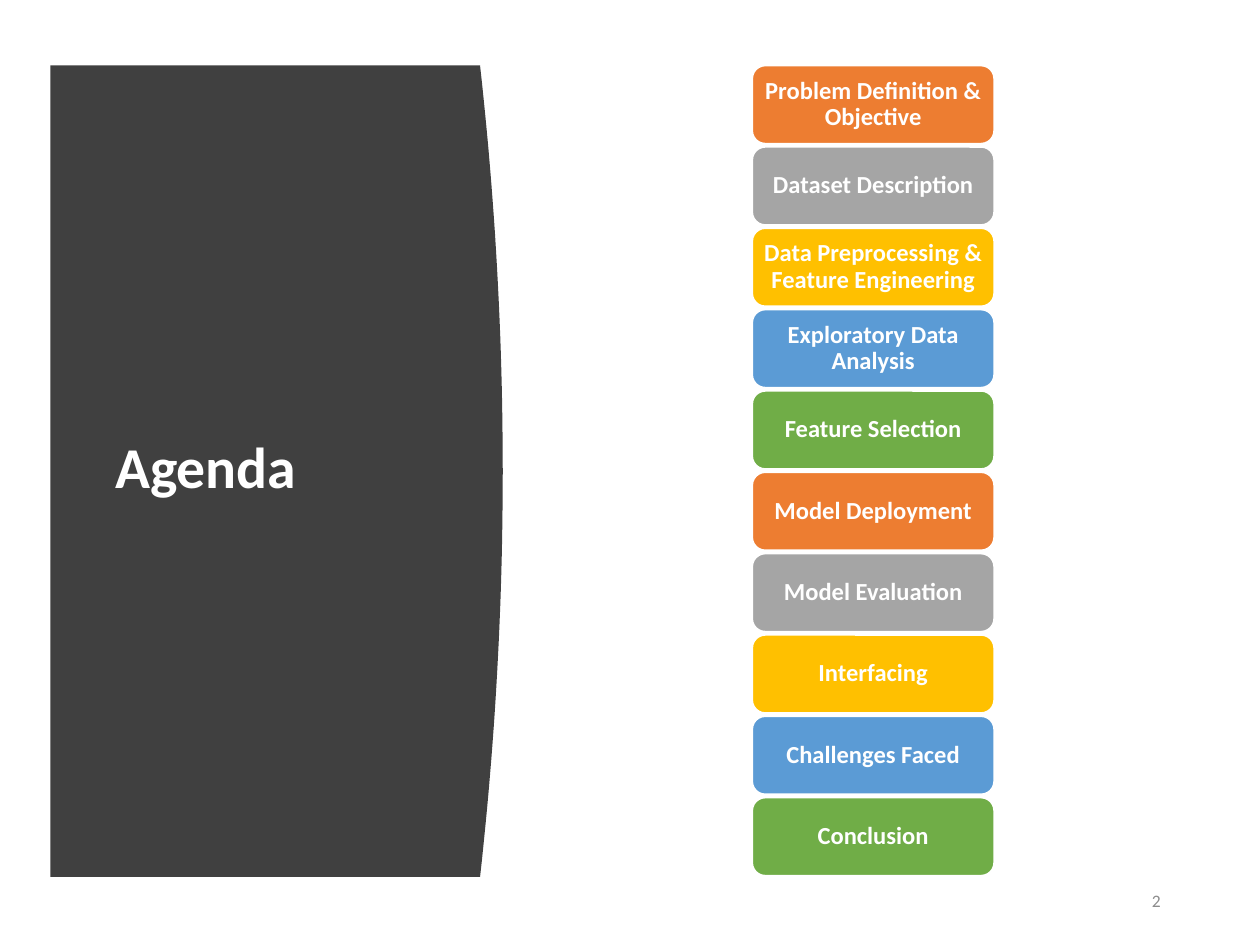
from dataclasses import dataclass

from pptx import Presentation
from pptx.dml.color import RGBColor
from pptx.enum.shapes import MSO_SHAPE
from pptx.enum.text import MSO_ANCHOR, PP_ALIGN
from pptx.slide import Slide
from pptx.util import Inches, Pt

TOPICS = [
    "Problem Definition & Objective",
    "Dataset Description",
    "Data Preprocessing & Feature Engineering",
    "Exploratory Data Analysis",
    "Feature Selection",
    "Model Deployment",
    "Model Evaluation",
    "Interfacing",
    "Challenges Faced",
    "Conclusion",
]
TOPIC_COLOURS = ["ED7D31", "A5A5A5", "FFC000", "5B9BD5", "70AD47"]


def colour(hex_value):
    return RGBColor.from_string(hex_value)


def apply(target, values):
    for name, value in values.items():
        setattr(target, name, value)


@dataclass
class AgendaSlide:
    """Holds the slide and its style, and adds each kind of element."""

    slide: Slide
    font: str = "Calibri"
    light: str = "FFFFFF"
    dark: str = "404040"
    muted: str = "8C8C8C"

    def set_text(self, holder, text, size, ink, bold, paragraph_format, inset=(0.1, 0.05)):
        across, down = map(Inches, inset)
        frame = holder.text_frame
        apply(frame, {
            "text": text, "word_wrap": True, "vertical_anchor": MSO_ANCHOR.MIDDLE,
            "margin_left": across, "margin_right": across,
            "margin_top": down, "margin_bottom": down,
        })
        paragraph = frame.paragraphs[0]
        apply(paragraph, paragraph_format)
        run_font = paragraph.runs[0].font
        apply(run_font, {"name": self.font, "size": Pt(size), "bold": bold})
        run_font.color.rgb = colour(ink)

    def title(self, text, left, top, width, height):
        heading = self.slide.shapes.title
        apply(heading, {
            "left": Inches(left), "top": Inches(top),
            "width": Inches(width), "height": Inches(height),
        })
        self.set_text(heading, text, 33, self.light, True,
                      {"alignment": PP_ALIGN.LEFT, "line_spacing": 0.9})

    def curved_panel(self, left, top, edge, height, bulge, steps=48):
        offsets = [2 * step / steps - 1 for step in range(steps + 1)]
        curve = [
            (Inches(edge + bulge * (1 - offset ** 2)),
             Inches(top + height * (offset + 1) / 2))
            for offset in offsets
        ]
        outline = self.slide.shapes.build_freeform(Inches(left), Inches(top))
        outline.add_line_segments(curve + [(Inches(left), Inches(top + height))])
        panel = outline.convert_to_shape()
        panel.shadow.inherit = False
        panel.fill.solid()
        panel.fill.fore_color.rgb = colour(self.dark)
        panel.line.fill.background()
        self.slide.shapes.title.element.addprevious(panel.element)

    def topic(self, text, fill, left, top, width, height):
        card = self.slide.shapes.add_shape(
            MSO_SHAPE.ROUNDED_RECTANGLE,
            Inches(left), Inches(top), Inches(width), Inches(height))
        card.shadow.inherit = False
        card.fill.solid()
        card.fill.fore_color.rgb = colour(fill)
        card.line.color.rgb = colour(self.light)
        card.line.width = Pt(1)
        self.set_text(card, text, 14, self.light, True,
                      {"alignment": PP_ALIGN.CENTER, "line_spacing": 0.9}, (0.06, 0.03))

    def page_number(self, text, left, top, width, height):
        number = self.slide.shapes.add_textbox(
            Inches(left), Inches(top), Inches(width), Inches(height))
        self.set_text(number, text, 10, self.muted, False,
                      {"alignment": PP_ALIGN.RIGHT, "space_after": Pt(6)})


def main():
    deck = Presentation()
    apply(deck, {"slide_width": Inches(10), "slide_height": Inches(7.5)})
    agenda = AgendaSlide(deck.slides.add_slide(deck.slide_layouts[5]))

    agenda.curved_panel(0.4, 0.52, 3.81, 6.44, 0.18)
    agenda.title(" Agenda", 0.71, 1.11, 2.8, 5.24)
    agenda.page_number("2", 8.8, 6.95, 0.51, 0.4)

    first_top, last_top = 0.52, 6.33
    pitch = (last_top - first_top) / (len(TOPICS) - 1)
    for position, text in enumerate(TOPICS):
        fill = TOPIC_COLOURS[position % len(TOPIC_COLOURS)]
        agenda.topic(text, fill, 5.97, first_top + position * pitch, 1.92, 0.62)

    deck.save("out.pptx")


if __name__ == "__main__":
    main()
